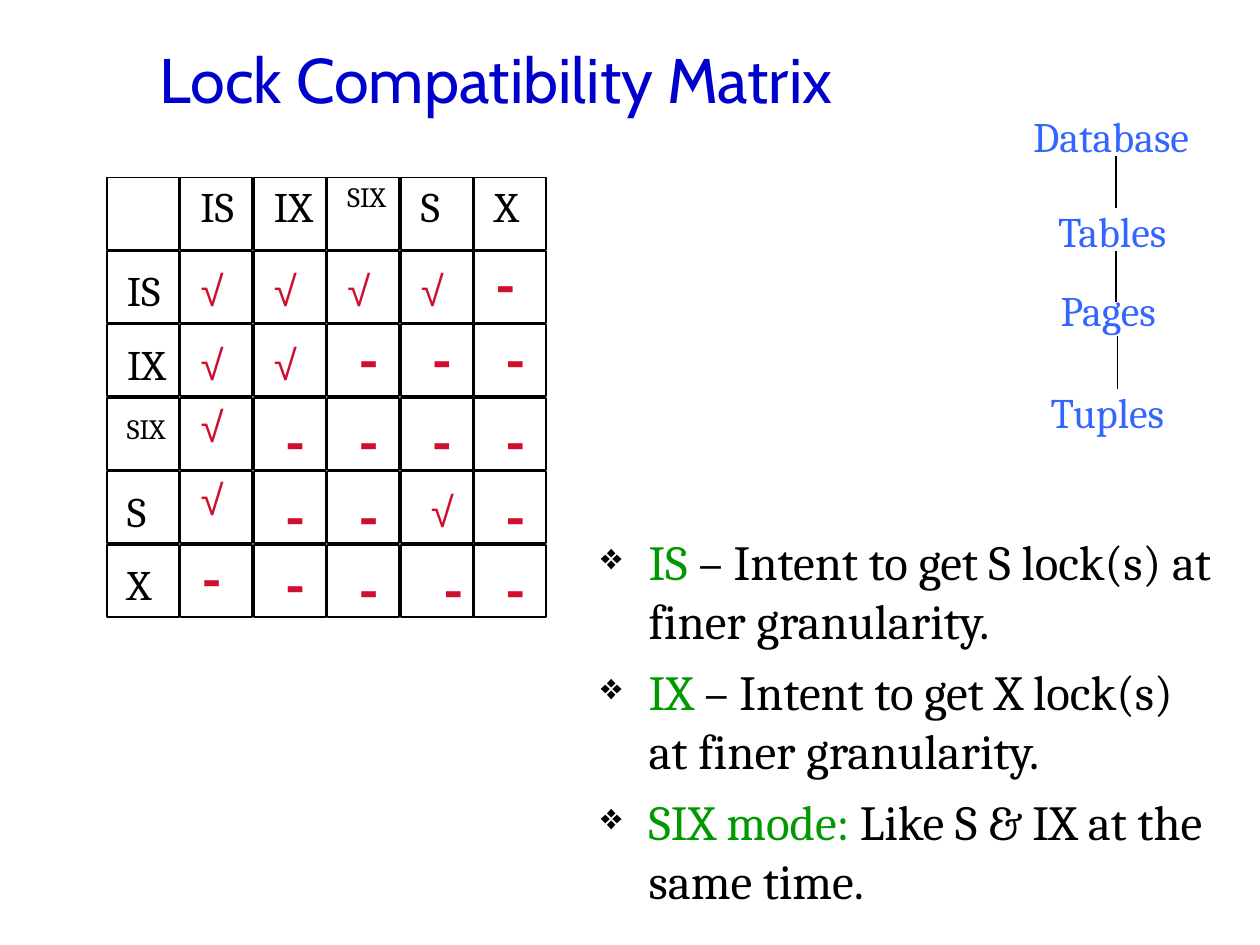
from lxml import etree
from pptx import Presentation
from pptx.dml.color import RGBColor
from pptx.enum import shapes, text
from pptx.oxml.ns import qn
from pptx.util import Inches, Pt

BLACK, BLUE, SKY, GREEN, RED = "000000", "0000CC", "3366FF", "009900", "CF0E30"
TITLE = "Lock Compatibility Matrix"
MODES = ["IS", "IX", "SIX", "S", "X"]
MARKS = ["√√√√-", "√√---", "√----", "√--√-", "-----"]
NOTES = [
    ("IS", " – Intent to get S lock(s) at finer granularity."),
    ("IX", " – Intent to get X lock(s) at finer granularity."),
    ("SIX mode: ", "Like S & IX at the same time."),
]
# Name, left, top, width
LEVELS = [
    ("Database", 8.1, 0.83, 1.68),
    ("Tables", 8.3, 1.58, 1.21),
    ("Pages", 8.32, 2.21, 1.14),
    ("Tuples", 8.24, 3.02, 1.23),
]
# x, top, bottom
LINKS = [(8.86, 1.24, 1.65), (8.86, 1.99, 2.4), (8.87, 2.67, 3.09)]

# Grid and the offset of each mark from its cell corner
LEFT, TOP, STEP, CELL = 0.85, 1.41, 0.583, 0.57
WIDTH = {"IS": 0.5, "IX": 0.51, "SIX": 0.53, "S": 0.39, "X": 0.4}
TICK_Y = [0.06, 0.06, -0.03, -0.03, 0]
DASH_Y = [-0.11, -0.1, -0.03, -0.02, -0.02]
NUDGE = {  # (row, column): offset of the marks off the rule
    (0, 4): (0.07, -0.11),
    (3, 3): (0.14, 0.06),
    (4, 0): (0.07, -0.11),
    (4, 1): (0.15, -0.06),
    (4, 3): (0.24, -0.02),
}

prs = Presentation()
prs.slide_width, prs.slide_height = Inches(10), Inches(7.5)
slide = prs.slides.add_slide(prs.slide_layouts[6])


def color(code):
    return RGBColor.from_string(code)


def style(font, size, code, name="Cambria", bold=False):
    font.size, font.name, font.bold = Pt(size), name, bold
    font.color.rgb = color(code)


def add_box(x, y, w, h, wrap=True):
    box = slide.shapes.add_textbox(*map(Inches, (x, y, w, h)))
    frame = box.text_frame
    frame.word_wrap = wrap
    frame.auto_size = text.MSO_AUTO_SIZE.SHAPE_TO_FIT_TEXT
    return frame


def add_label(words, x, y, w, h, size, code, name="Cambria", bold=False, wrap=False):
    frame = add_box(x, y, w, h, wrap)
    frame.text = words
    style(frame.paragraphs[0].runs[0].font, size, code, name, bold)
    return frame


def add_rect(x, y, side):
    rect = slide.shapes.add_shape(
        shapes.MSO_SHAPE.RECTANGLE, *map(Inches, (x, y, side, side)))
    rect.shadow.inherit = False
    rect.fill.background()
    rect.line.color.rgb = color(BLACK)
    rect.line.width = Pt(1)


def add_bullet(para):
    props = para._p.get_or_add_pPr()
    props.set("marL", str(Inches(0.38)))
    props.set("indent", str(-Inches(0.38)))
    tint = etree.SubElement(props, qn("a:buClr"))
    etree.SubElement(tint, qn("a:srgbClr"), val=BLACK)
    etree.SubElement(props, qn("a:buSzPct"), val="75000")
    etree.SubElement(props, qn("a:buChar"), char="❖")


def spot(row, col):
    return LEFT + col * STEP, TOP + row * STEP


# Title
head = add_label(TITLE, 1.17, 0, 8.5, 1.25, 36, BLUE, "Cabin", wrap=True)
head.auto_size = text.MSO_AUTO_SIZE.NONE
head.vertical_anchor = text.MSO_ANCHOR.MIDDLE

# Lock mode notes
notes = add_box(4.67, 4.17, 5.08, 4.03)
notes.auto_size = text.MSO_AUTO_SIZE.NONE
for i, (term, rest) in enumerate(NOTES):
    para = notes.paragraphs[0] if i == 0 else notes.add_paragraph()
    add_bullet(para)
    if i:
        para.space_before = Pt(7)
    for words, code in ((term, GREEN), (rest, BLACK)):
        run = para.add_run()
        run.text = words
        style(run.font, 28, code)

# Matrix cells
for row in range(6):
    for col in range(6):
        add_rect(*spot(row, col), CELL)

# Matrix headings
for i, mode in enumerate(MODES, 1):
    size, high = (16, 0.37) if mode == "SIX" else (24, 0.5)
    for row, col, drop in ((0, i, -0.03), (i, 0, 0.06)):
        x, y = spot(row, col)
        add_label(mode, x + 0.06, y + drop, WIDTH[mode], high, size, BLACK)

# Matrix marks
for row, marks in enumerate(MARKS):
    for col, mark in enumerate(marks):
        x, y = spot(row + 1, col + 1)
        if mark == "√":
            dx, dy = NUDGE.get((row, col), (0.06, TICK_Y[row]))
            add_label(mark, x + dx, y + dy, 0.52, 0.5, 24, RED, "Arial", wrap=True)
        else:
            dx, dy = NUDGE.get((row, col), (0.15, DASH_Y[row]))
            add_label(mark, x + dx, y + dy, 0.25, 0.7, 36, RED, bold=True, wrap=True)

# Hierarchy of levels
for name, x, y, w in LEVELS:
    add_label(name, x, y, w, 0.5, 24, SKY)
for x, top, end in LINKS:
    link = slide.shapes.add_connector(
        shapes.MSO_CONNECTOR.STRAIGHT, *map(Inches, (x, top, x, end)))
    link.line.color.rgb = color(BLACK)
    link.line.width = Pt(1)
    etree.SubElement(link._element.spPr, qn("a:effectLst"))

prs.save("out.pptx")
